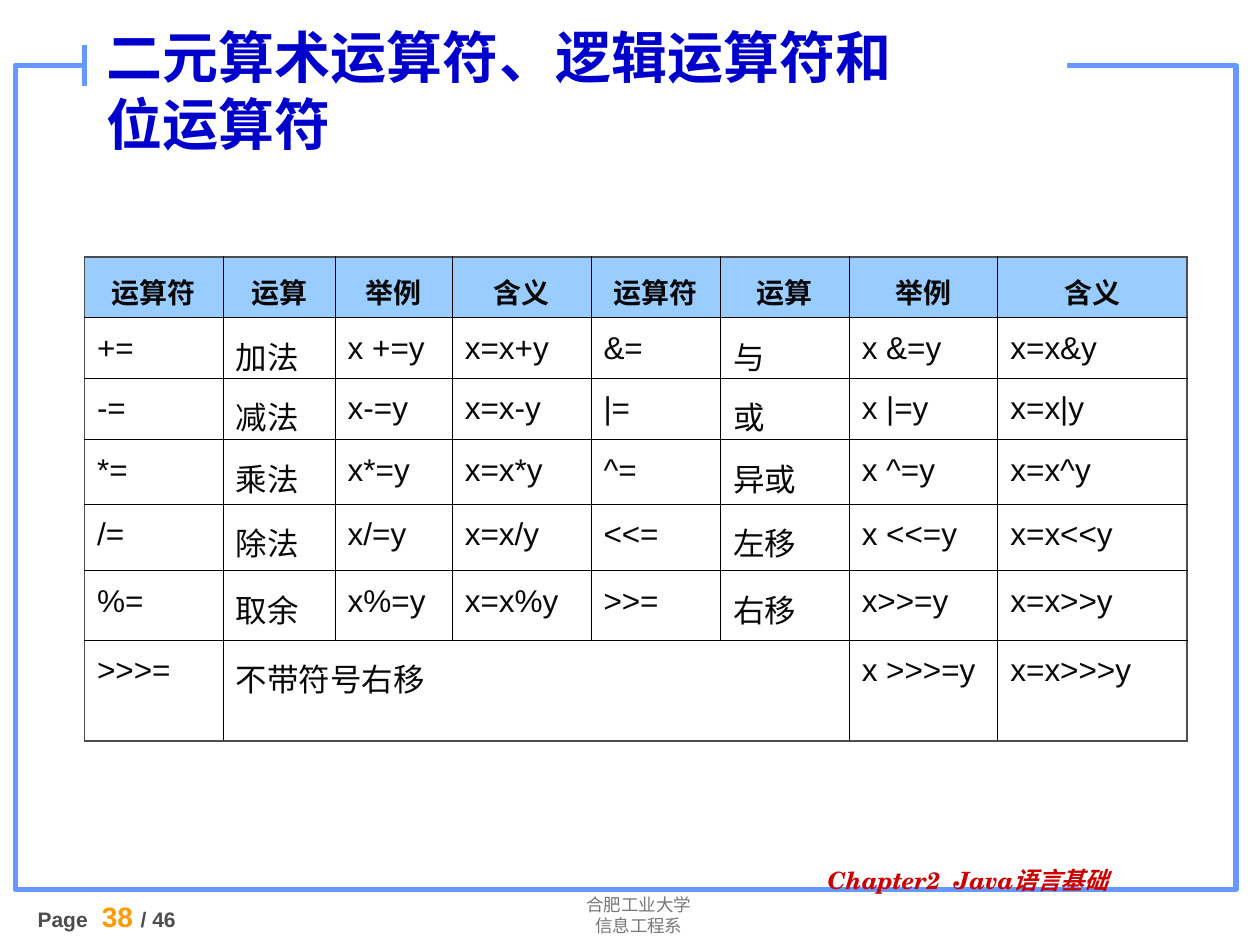
import pptx
import pptx.dml.color
import pptx.enum.shapes
import pptx.enum.text
import pptx.oxml.ns
import pptx.util
from lxml import etree

Inches = pptx.util.Inches
Pt = pptx.util.Pt
RGBColor = pptx.dml.color.RGBColor
ALIGN = pptx.enum.text.PP_ALIGN
ANCHOR = pptx.enum.text.MSO_ANCHOR
RECT = pptx.enum.shapes.MSO_SHAPE.RECTANGLE
qn = pptx.oxml.ns.qn

FRAME_BLUE = RGBColor(0x66, 0x99, 0xFF)
TITLE_BLUE = RGBColor(0x00, 0x00, 0xCC)
HEADER_BLUE = RGBColor(0x99, 0xCC, 0xFF)
WHITE = RGBColor(0xFF, 0xFF, 0xFF)
BLACK = RGBColor(0x00, 0x00, 0x00)
INK = RGBColor(0x08, 0x08, 0x08)
DARK_GRAY = RGBColor(0x4D, 0x4D, 0x4D)
GRAY = RGBColor(0x77, 0x77, 0x77)
ORANGE = RGBColor(0xFF, 0x99, 0x00)
RED = RGBColor(0xCC, 0x00, 0x00)

COL_WIDTHS = [1.1, 0.89, 0.93, 1.1, 1.03, 1.02, 1.18, 1.5]
ROW_HEIGHTS = [0.48, 0.48, 0.49, 0.51, 0.53, 0.55, 0.8]
ROWS = [
    ["运算符", "运算", "举例", "含义"] * 2,
    ["+=", "加法", "x +=y", "x=x+y", "&=", "与", "x &=y", "x=x&y"],
    ["-=", "减法", "x-=y", "x=x-y", "|=", "或", "x |=y", "x=x|y"],
    ["*=", "乘法", "x*=y", "x=x*y", "^=", "异或", "x ^=y", "x=x^y"],
    ["/=", "除法", "x/=y", "x=x/y", "<<=", "左移", "x <<=y", "x=x<<y"],
    ["%=", "取余", "x%=y", "x=x%y", ">>=", "右移", "x>>=y", "x=x>>y"],
    [">>>=", "不带符号右移", "", "", "", "", "x >>>=y", "x=x>>>y"],
]


def set_font(font, size, color, name="Arial", bold=False, italic=False):
    font.size, font.name = Pt(size), name
    font.bold, font.italic = bold, italic
    font.color.rgb = color


def add_tab(p, position):
    tabs = etree.SubElement(p._p.get_or_add_pPr(), qn("a:tabLst"))
    etree.SubElement(tabs, qn("a:tab"), pos=str(Inches(position)), algn="l")


def add_text_box(slide, box, anchor=ANCHOR.TOP):
    tf = slide.shapes.add_textbox(*map(Inches, box)).text_frame
    tf.word_wrap = True
    tf.vertical_anchor = anchor
    return tf


def add_frame(slide, box):
    left, top, width, height = box
    # Blue outline
    sp = slide.shapes.add_shape(RECT, *map(Inches, box))
    sp.shadow.inherit = False
    sp.fill.background()
    sp.line.color.rgb = FRAME_BLUE
    sp.line.width = Pt(3)
    # Gap in the outline behind the title
    gap_left = left + 0.55
    gap = slide.shapes.add_shape(
        RECT, Inches(gap_left), Inches(top - 0.24), Inches(7.8), Inches(0.35))
    gap.shadow.inherit = False
    gap.fill.solid()
    gap.fill.fore_color.rgb = WHITE
    gap.line.fill.background()
    # Tick at the left end of the gap
    tick = slide.shapes.add_connector(
        pptx.enum.shapes.MSO_CONNECTOR.STRAIGHT, Inches(gap_left),
        Inches(top - 0.16), Inches(gap_left), Inches(top + 0.16))
    tick.line.color.rgb = FRAME_BLUE
    tick.line.width = Pt(3)
    etree.SubElement(tick._element.spPr, qn("a:effectLst"))


def add_title(slide, box):
    p = add_text_box(slide, box, ANCHOR.MIDDLE).paragraphs[0]
    p.text = "二元算术运算符、逻辑运算符和位运算符"
    set_font(p.font, 32, TITLE_BLUE, bold=True)


def add_school(slide, box):
    tf = add_text_box(slide, box)
    tf.text = "合肥工业大学\n信息工程系"
    for p in tf.paragraphs:
        p.alignment = ALIGN.CENTER
        set_font(p.font, 10, GRAY, "Roboto")


def add_page_number(slide, box):
    p = add_text_box(slide, box).paragraphs[0]
    add_tab(p, 0.51)
    for text, size, color in [("Page\t", 12, DARK_GRAY), ("38 ", 16, ORANGE),
                              ("/ 46", 12, DARK_GRAY)]:
        r = p.add_run()
        r.text = text
        set_font(r.font, size, color, bold=True)


def add_chapter(slide, box):
    p = add_text_box(slide, box).paragraphs[0]
    p.text = "Chapter2\tJava语言基础"
    p.line_spacing = 0.9
    add_tab(p, 1)
    set_font(p.font, 13.6, RED, "TeX Gyre Schola", bold=True, italic=True)


def set_borders(cell, outer_sides):
    tcPr = cell._tc.get_or_add_tcPr()
    for side in "LRTB":
        color, width = (DARK_GRAY, 1.08) if side in outer_sides else (BLACK, 0.45)
        ln = etree.SubElement(tcPr, qn("a:ln" + side), w=str(Pt(width)))
        fill = etree.SubElement(ln, qn("a:solidFill"))
        etree.SubElement(fill, qn("a:srgbClr"), val=str(color))


def add_operator_table(slide, box):
    last_row, last_col = len(ROWS) - 1, len(COL_WIDTHS) - 1
    table = slide.shapes.add_table(
        len(ROWS), len(COL_WIDTHS), *map(Inches, box)).table
    table.first_row = table.horz_banding = False
    for column, width in zip(table.columns, COL_WIDTHS):
        column.width = Inches(width)
    for row, height in zip(table.rows, ROW_HEIGHTS):
        row.height = Inches(height)
    table.cell(last_row, 1).merge(table.cell(last_row, 5))

    for i, texts in enumerate(ROWS):
        for j, text in enumerate(texts):
            cell = table.cell(i, j)
            outer = {"L": j == 0, "R": j == last_col,
                     "T": i == 0, "B": i == last_row}
            set_borders(cell, [side for side in outer if outer[side]])
            if i == 0:
                cell.fill.solid()
                cell.fill.fore_color.rgb = HEADER_BLUE
            else:
                cell.fill.background()
            if cell.is_spanned:
                continue
            p = cell.text_frame.paragraphs[0]
            p.text = text
            p.line_spacing = 1.2
            p.alignment = ALIGN.CENTER if i == 0 else ALIGN.LEFT
            set_font(p.font, 16 if i == 0 else 18, INK, bold=i == 0)


def main():
    prs = pptx.Presentation()
    prs.slide_width, prs.slide_height = Inches(10), Inches(7.5)
    slide = prs.slides.add_slide(prs.slide_layouts[6])
    add_frame(slide, (0.12, 0.52, 9.69, 6.54))
    add_school(slide, (3.8, 7.05, 2.54, 0.44))
    add_page_number(slide, (0.2, 7.09, 1.81, 0.4))
    add_chapter(slide, (6.47, 6.85, 3.07, 0.35))
    add_title(slide, (0.75, 0.11, 6.77, 1.2))
    add_operator_table(slide, (0.67, 2.04, 8.75, 3.84))
    prs.save("out.pptx")


if __name__ == "__main__":
    main()
